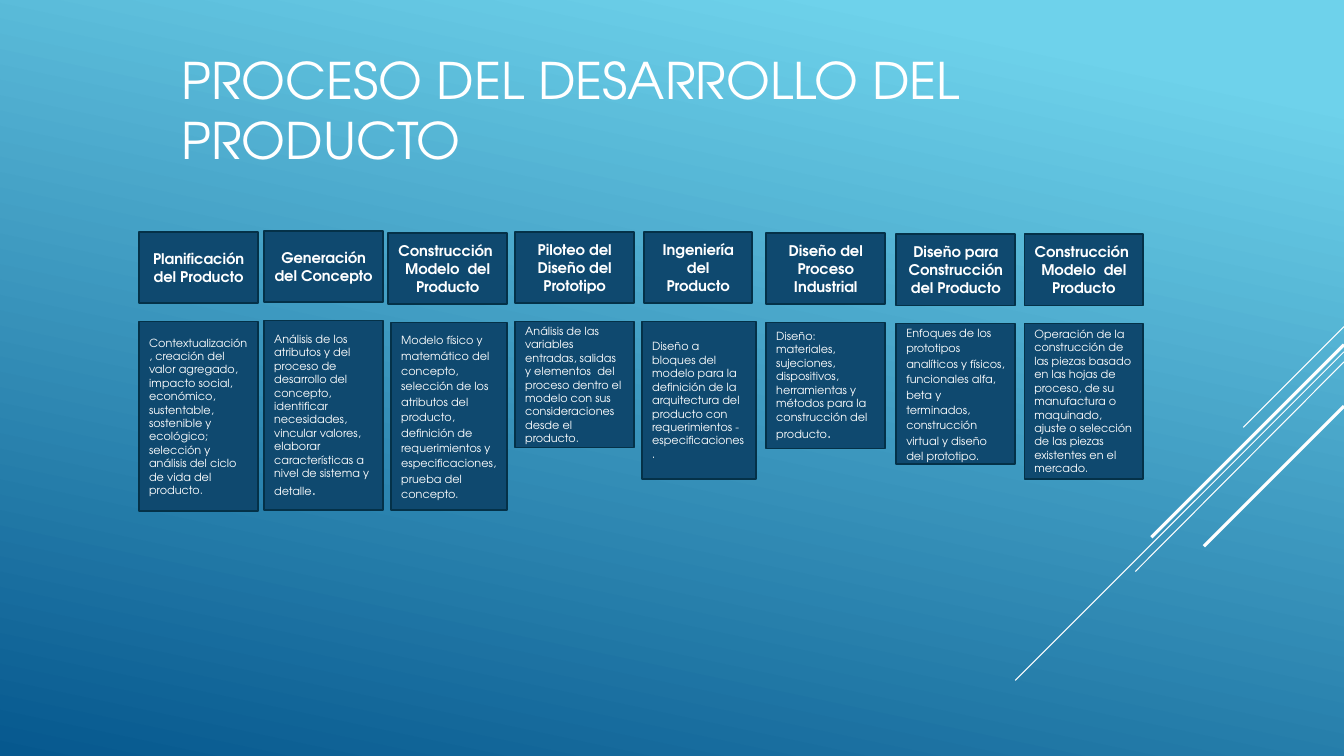
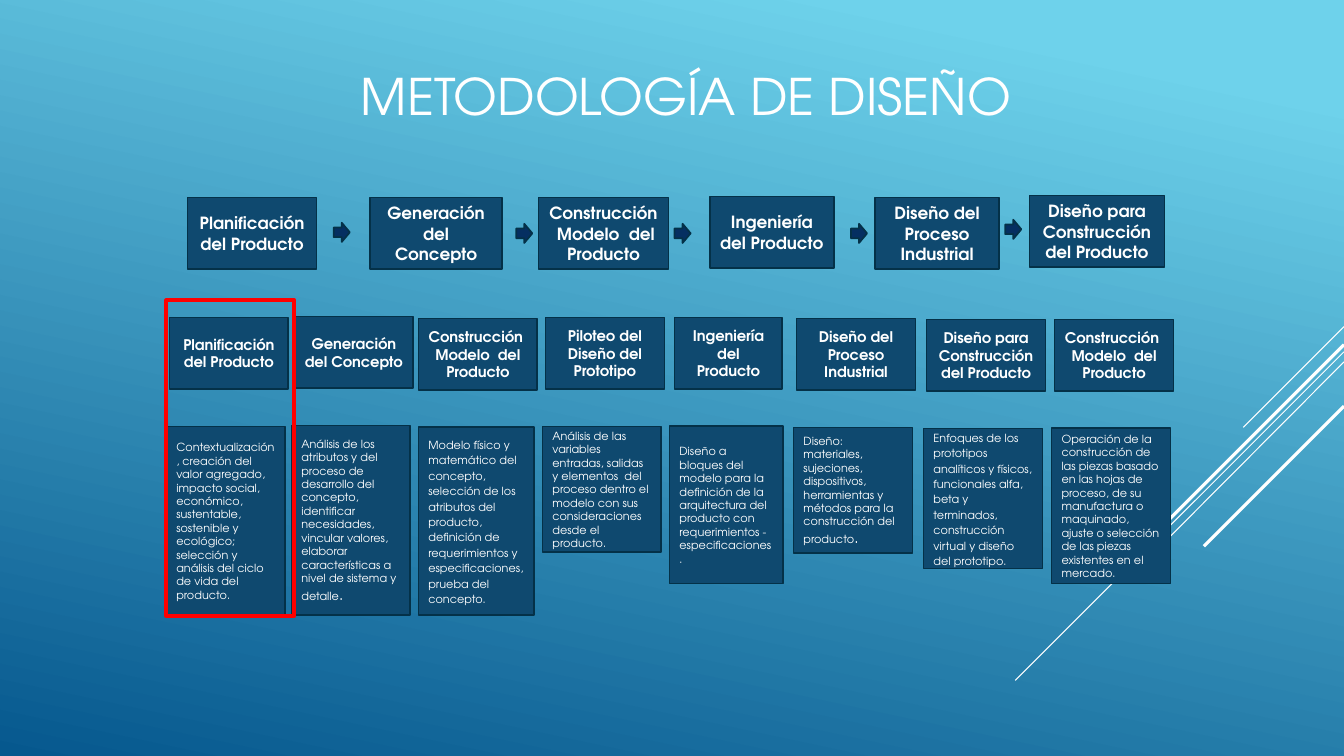
from dataclasses import dataclass

from lxml.etree import SubElement
from pptx import Presentation
from pptx.dml.color import RGBColor
from pptx.enum.shapes import MSO_CONNECTOR as Connector, MSO_SHAPE as Shape
from pptx.enum.text import MSO_ANCHOR as Anchor, MSO_AUTO_SIZE as AutoSize, PP_ALIGN as Align
from pptx.oxml.ns import qn
from pptx.util import Inches, Pt

FONT = "TeX Gyre Adventor"
COLORS = {
    "sky": "6ED2EB",
    "ocean": "06588E",
    "box": "0F496F",
    "border": "043148",
    "arrow": "052F61",
    "text": "FFFFFF",
    "highlight": "FF0000",
}
RAYS = [
    (3.24, 12.33, 4.24, 0.75),
    (3.49, 10.07, 6.75, 0.75),
    (3.59, 11.26, 5.67, 0.75),
    (3.42, 11.42, 5.33, 2.25),
    (4.03, 11.94, 5.42, 2.25),
]
SLIDE_WIDTH = 13.33
HEADER_HEIGHT = 0.71
BODY_DROP = 0.89


@dataclass
class Stage:
    name: str
    detail: str
    left: float
    top: float
    detail_height: float
    width: float = 1.18
    detail_left: float = 0
    detail_width: float = 1.18
    spacing: float = 1.0
    large_period: bool = False


STAGES = [
    Stage("Planificación del Producto",
          "Contextualización, creación del valor agregado, impacto social, económico, "
          "sustentable, sostenible y ecológico; selección y análisis del ciclo de vida "
          "del producto.",
          1.38, 2.3, 1.88),
    Stage("Generación del Concepto",
          "Análisis de los atributos y del proceso de desarrollo del concepto, identificar "
          "necesidades, vincular valores, elaborar características a nivel de sistema y detalle",
          2.62, 2.29, 1.88, large_period=True),
    Stage("Construcción  Modelo  del Producto",
          "Modelo físico y matemático del concepto, selección de los atributos del producto, "
          "definición de requerimientos y especificaciones, prueba del concepto.",
          3.85, 2.31, 1.86, detail_left=3.88, detail_width=1.15, spacing=1.15),
    Stage("Piloteo del Diseño del Prototipo",
          "Análisis de las variables entradas, salidas  y elementos  del proceso dentro el "
          "modelo con sus consideraciones desde el producto.",
          5.11, 2.3, 1.25),
    Stage("Ingeniería del Producto",
          "Diseño a bloques del modelo para la definición de la arquitectura del producto "
          "con requerimientos -  especificaciones.",
          6.39, 2.3, 1.56, width=1.07, detail_left=6.37, detail_width=1.13),
    Stage("Diseño del Proceso Industrial",
          "Diseño: materiales, sujeciones, dispositivos, herramientas y métodos para la "
          "construcción del producto",
          7.6, 2.31, 1.25, large_period=True),
    Stage("Diseño para Construcción del Producto",
          "Enfoques de los prototipos analíticos y físicos, funcionales alfa, beta y "
          "terminados, construcción virtual y diseño del prototipo.",
          8.89, 2.32, 1.39, spacing=1.15),
    Stage("Construcción  Modelo  del Producto",
          "Operación de la construcción de las piezas basado en las hojas de proceso, de su "
          "manufactura o maquinado, ajuste o selección de las piezas existentes en el mercado.",
          10.16, 2.32, 1.54),
]
METHOD_STEPS = [
    (0, 1.86, 1.96, 1.28),
    (1, 3.67, 1.96, 1.31),
    (2, 5.34, 1.96, 1.29),
    (4, 7.04, 1.95, 1.23),
    (5, 8.68, 1.96, 1.23),
    (6, 10.21, 1.94, 1.34),
]
STEP_ARROWS = [(3.31, 2.21), (5.12, 2.22), (6.69, 2.22), (8.44, 2.22), (9.97, 2.18)]


def rgb(color):
    return RGBColor.from_string(COLORS[color])


class Deck:
    def __init__(self):
        self.prs = Presentation()
        self.prs.slide_width = Inches(SLIDE_WIDTH)
        self.prs.slide_height = Inches(7.5)
        self.slide = None
        fill = self.prs.slide_master.background.fill
        fill.gradient()
        fill.gradient_angle = 360 - 102
        for stop, position, color in zip(fill.gradient_stops, (0.1, 1.0), ("sky", "ocean")):
            stop.position = position
            stop.color.rgb = rgb(color)

    def new_slide(self, title, left, top, width, height):
        self.slide = self.prs.slides.add_slide(self.prs.slide_layouts[5])
        for start_y, end_x, end_y, weight in RAYS:
            self.ray(start_y, end_x, end_y, weight)
        heading = self.slide.shapes.title
        heading.left, heading.top = Inches(left), Inches(top)
        heading.width, heading.height = Inches(width), Inches(height)
        self.put_text(heading, [(title, 36)], Align.LEFT)

    def ray(self, start_y, end_x, end_y, weight):
        ray = self.slide.shapes.add_connector(
            Connector.STRAIGHT, Inches(SLIDE_WIDTH), Inches(start_y), Inches(end_x), Inches(end_y))
        ray.line.color.rgb = rgb("text")
        ray.line.width = Pt(weight)
        SubElement(ray._element.spPr, qn("a:effectLst"))

    def put_text(self, shape, runs, align, bold=False, spacing=1.0):
        frame = shape.text_frame
        frame.word_wrap = True
        frame.auto_size = AutoSize.NONE
        frame.vertical_anchor = Anchor.MIDDLE
        paragraph = frame.paragraphs[0]
        paragraph.alignment = align
        paragraph.line_spacing = spacing
        for text, size in runs:
            run = paragraph.add_run()
            run.text = text
            run.font.name = FONT
            run.font.size = Pt(size)
            run.font.bold = bold
            run.font.color.rgb = rgb("text")

    def shape(self, kind, left, top, width, height, fill="box", border="border", weight=1.25):
        shape = self.slide.shapes.add_shape(
            kind, Inches(left), Inches(top), Inches(width), Inches(height))
        shape.shadow.inherit = False
        if fill:
            shape.fill.solid()
            shape.fill.fore_color.rgb = rgb(fill)
        else:
            shape.fill.background()
        shape.line.color.rgb = rgb(border)
        shape.line.width = Pt(weight)
        return shape

    def header(self, name, left, top, width, size):
        box = self.shape(Shape.RECTANGLE, left, top, width, HEADER_HEIGHT)
        self.put_text(box, [(name, size)], Align.CENTER, bold=True)

    def detail(self, stage, dx, dy):
        box = self.shape(Shape.RECTANGLE, (stage.detail_left or stage.left) + dx,
                         stage.top + BODY_DROP + dy, stage.detail_width, stage.detail_height)
        runs = [(stage.detail, 8)]
        if stage.large_period:
            runs.append((".", 11))
        self.put_text(box, runs, Align.LEFT, spacing=stage.spacing)

    def stages(self, header_shift=(0, 0), detail_shift=(0, 0)):
        dx, dy = header_shift
        for stage in STAGES:
            self.header(stage.name, stage.left + dx, stage.top + dy, stage.width, 10.5)
            self.detail(stage, *detail_shift)

    def arrow(self, left, top):
        self.shape(Shape.RIGHT_ARROW, left, top, 0.16, 0.19, fill="arrow")

    def highlight(self, left, top, width, height):
        self.shape(Shape.RECTANGLE, left, top, width, height, None, "highlight", 3)


def main():
    deck = Deck()

    deck.new_slide("PROCESO DEL DESARROLLO DEL PRODUCTO", 1.7, 0.26, 9.33, 1.65)
    deck.stages()

    deck.new_slide("METODOLOGÍA DE DISEÑO", 3.48, 0.35, 6.89, 1.2)
    deck.stages(header_shift=(0.3, 0.85), detail_shift=(0.27, 1.04))
    for index, left, top, width in METHOD_STEPS:
        deck.header(STAGES[index].name, left, top, width, 12)
    for left, top in STEP_ARROWS:
        deck.arrow(left, top)
    deck.highlight(1.65, 2.98, 1.27, 3.13)

    deck.prs.save("out.pptx")


if __name__ == "__main__":
    main()
